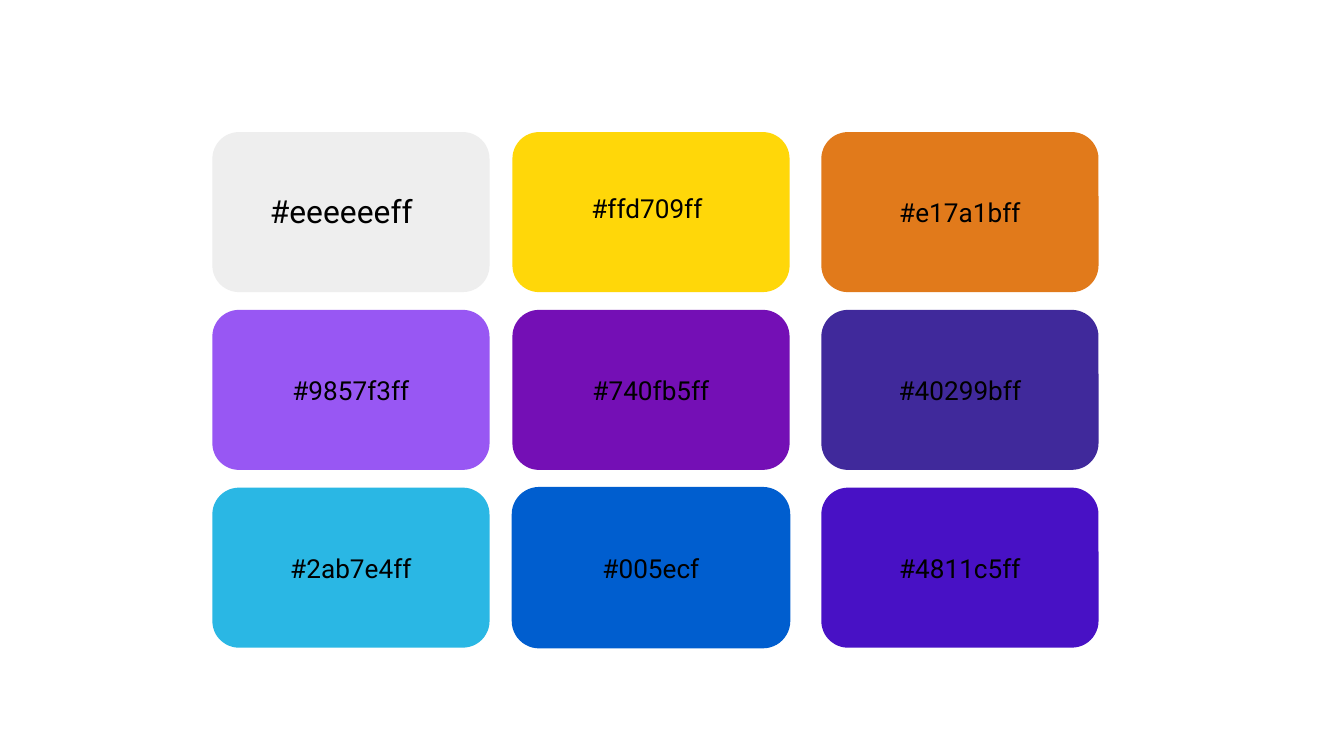
"""Build a slide with a three by three grid of labelled colour swatches."""
from pptx import Presentation
from pptx.dml.color import RGBColor
from pptx.enum.shapes import MSO_SHAPE
from pptx.enum.text import MSO_ANCHOR, PP_ALIGN
from pptx.util import Pt

COLORS = {
    "grey": "EEEEEE", "yellow": "FFD709", "orange": "E17A1B",
    "lilac": "9857F3", "purple": "740FB5", "indigo": "40299B",
    "sky": "2AB7E4", "blue": "005ECF", "violet": "4811C5",
    "text": "000000",
}
GRID = [
    [("grey", ""), ("yellow", ""), ("orange", "#e17a1bff")],
    [("lilac", "#9857f3ff"), ("purple", "#740fb5ff"), ("indigo", "#40299bff")],
    [("sky", "#2ab7e4ff"), ("blue", "#005ecf"), ("violet", "#4811c5ff")],
]
COLUMNS = [113.75, 274.5, 440]
TOP, ROW_PITCH = 70.75, 95.25
SWATCH_W, SWATCH_H = 148.5, 85.75


class Palette:
    def __init__(self, slide, font="Roboto", inset=7.2):
        self.slide = slide
        self.font = font
        self.inset = Pt(inset)

    def shape(self, kind, box, color, outlined):
        sp = self.slide.shapes.add_shape(kind, *(Pt(v) for v in box))
        sp.shadow.inherit = False
        sp.fill.solid()
        sp.fill.fore_color.rgb = RGBColor.from_string(COLORS[color])
        if outlined:
            sp.line.color.rgb = RGBColor.from_string(COLORS[color])
            sp.line.width = Pt(0.75)
        else:
            sp.line.fill.background()
        return sp

    def set_text(self, sp, text, size, align, anchor):
        tf = sp.text_frame
        tf.word_wrap = True
        tf.vertical_anchor = anchor
        tf.margin_left = tf.margin_right = self.inset
        tf.margin_top = tf.margin_bottom = self.inset
        p = tf.paragraphs[0]
        p.text = text
        p.alignment = align
        font = p.runs[0].font
        font.name = self.font
        font.size = Pt(size)
        font.color.rgb = RGBColor.from_string(COLORS["text"])

    def swatch(self, left, top, color, text):
        box = (left, top, SWATCH_W, SWATCH_H)
        sp = self.shape(MSO_SHAPE.ROUNDED_RECTANGLE, box, color, color == "blue")
        if text:
            self.set_text(sp, text, 14, PP_ALIGN.CENTER, MSO_ANCHOR.MIDDLE)

    def label(self, left, color, text, size, outlined=False):
        box = (left, 95.75, 100.75, 51.75)
        sp = self.shape(MSO_SHAPE.RECTANGLE, box, color, outlined)
        self.set_text(sp, text, size, PP_ALIGN.LEFT, MSO_ANCHOR.TOP)


def main():
    prs = Presentation()
    prs.slide_width, prs.slide_height = Pt(720), Pt(405)
    s = prs.slides.add_slide(prs.slide_layouts[6])
    palette = Palette(s)
    for row, swatches in enumerate(GRID):
        for left, (color, text) in zip(COLUMNS, swatches):
            palette.swatch(left, TOP + row * ROW_PITCH, color, text)
    palette.label(137.5, "grey", "#eeeeeeff", 17, outlined=True)
    palette.label(309.75, "yellow", "#ffd709ff", 14)
    prs.save("out.pptx")


if __name__ == "__main__":
    main()
